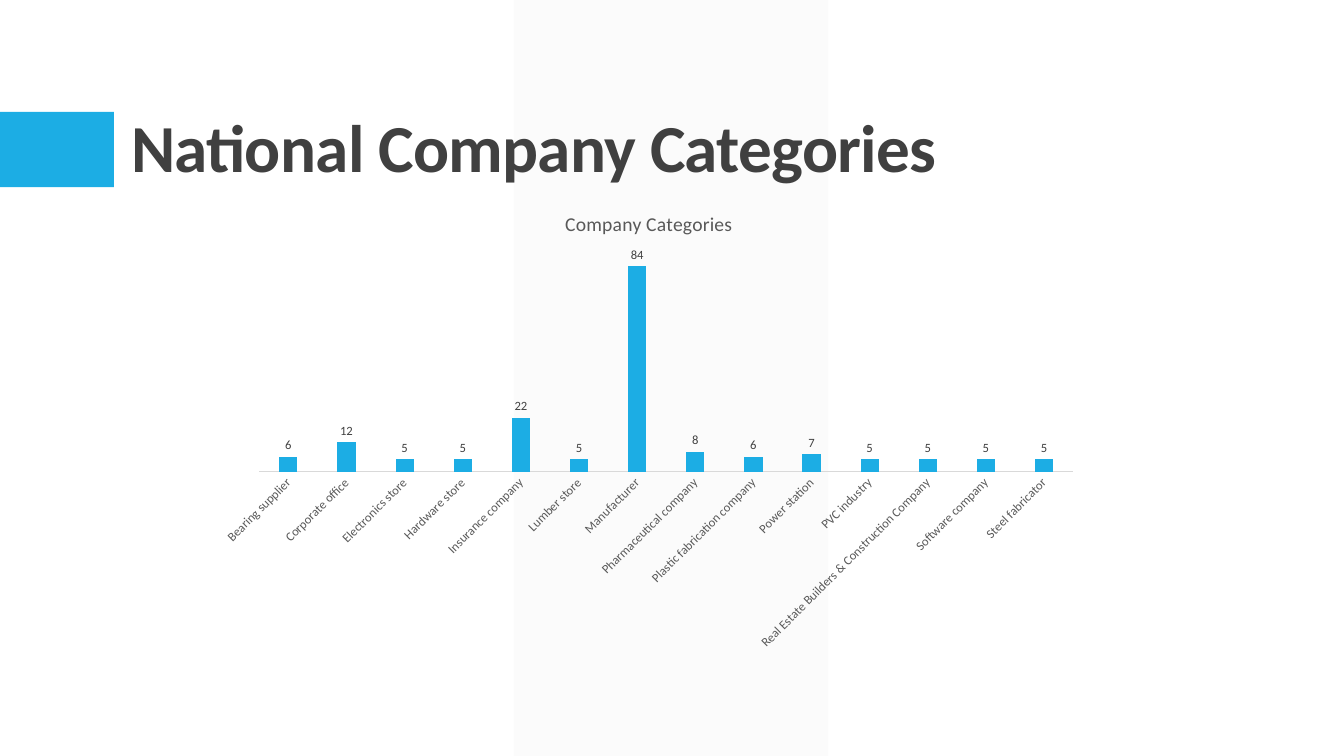
from dataclasses import dataclass

import pptx
import pptx.chart.data
import pptx.dml.color
import pptx.enum.chart
import pptx.enum.shapes
import pptx.enum.text
import pptx.oxml
import pptx.util
from lxml import etree
from pptx.util import Cm, Pt

FONT = "Calibri"
BLUE = "1CADE4"
DARK_GREY = "404040"
GREY = "595959"
LIGHT_GREY = "D9D9D9"

COMPANY_COUNTS = {
    "Bearing supplier": 6,
    "Corporate office": 12,
    "Electronics store": 5,
    "Hardware store": 5,
    "Insurance company": 22,
    "Lumber store": 5,
    "Manufacturer": 84,
    "Pharmaceutical company": 8,
    "Plastic fabrication company": 6,
    "Power station": 7,
    "PVC industry": 5,
    "Real Estate Builders & Construction Company": 5,
    "Software company": 5,
    "Steel fabricator": 5,
}


@dataclass
class Panel:
    kind: pptx.enum.shapes.MSO_SHAPE
    left: float
    top: float
    width: float
    height: float
    color: str
    opacity: int = 100


PANELS = [
    Panel(pptx.enum.shapes.MSO_SHAPE.PARALLELOGRAM, 12.95, 0, 7.92, 19.05, "F2F2F2", 30),
    Panel(pptx.enum.shapes.MSO_SHAPE.RECTANGLE, 0, 2.82, 2.87, 1.9, BLUE),
]


def rgb(color: str) -> pptx.dml.color.RGBColor:
    return pptx.dml.color.RGBColor.from_string(color)


def style_font(font, size: float, color: str, bold: bool = False) -> None:
    font.name = FONT
    font.size = Pt(size)
    font.bold = bold
    font.color.rgb = rgb(color)


def add_panel(slide, panel: Panel) -> None:
    """Draw a background panel behind the title."""
    shape = slide.shapes.add_shape(
        panel.kind, Cm(panel.left), Cm(panel.top), Cm(panel.width), Cm(panel.height)
    )
    shape.shadow.inherit = False
    if len(shape.adjustments):
        shape.adjustments[0] = 0
    shape.fill.solid()
    shape.fill.fore_color.rgb = rgb(panel.color)
    shape.line.fill.background()
    if panel.opacity < 100:
        color = shape.element.spPr.find(".//" + pptx.oxml.ns.qn("a:srgbClr"))
        alpha = etree.SubElement(color, pptx.oxml.ns.qn("a:alpha"))
        alpha.set("val", str(panel.opacity * 1000))
    slide.shapes.title.element.addprevious(shape.element)


def format_title(title, text: str) -> None:
    title.left, title.top = Cm(3.05), Cm(0.79)
    title.width, title.height = Cm(27.94), Cm(4.04)
    frame = title.text_frame
    frame.text = text
    frame.word_wrap = True
    frame.auto_size = pptx.enum.text.MSO_AUTO_SIZE.NONE
    frame.vertical_anchor = pptx.enum.text.MSO_ANCHOR.BOTTOM
    paragraph = frame.paragraphs[0]
    paragraph.alignment = pptx.enum.text.PP_ALIGN.LEFT
    paragraph.line_spacing = 0.9
    style_font(paragraph.font, 48, DARK_GREY, bold=True)
    paragraph.runs[0].font._element.set("spc", "-50")


def add_category_chart(slide) -> None:
    data = pptx.chart.data.CategoryChartData()
    data.categories = list(COMPANY_COUNTS)
    data.add_series("Series 1", list(COMPANY_COUNTS.values()))
    chart = slide.shapes.add_chart(
        pptx.enum.chart.XL_CHART_TYPE.COLUMN_CLUSTERED,
        Cm(5.21), Cm(4.83), Cm(22.28), Cm(11.79), data,
    ).chart
    style_font(chart.font, 10, "000000")
    chart.has_legend = False

    # Chart title
    chart.has_title = True
    chart.chart_title.include_in_layout = False
    chart.chart_title.text_frame.text = "Company Categories"
    style_font(chart.chart_title.text_frame.paragraphs[0].font, 14, GREY)

    # Axes
    chart.value_axis.visible = False
    chart.value_axis.has_major_gridlines = False
    axis = chart.category_axis
    axis.major_tick_mark = pptx.enum.chart.XL_TICK_MARK.NONE
    axis.format.line.color.rgb = rgb(LIGHT_GREY)
    axis.format.line.width = Pt(0.75)
    style_font(axis.tick_labels.font, 9, GREY)

    # Columns and their values
    plot = chart.plots[0]
    plot.vary_by_categories = False
    plot.gap_width = 219
    plot.overlap = -27
    series = plot.series[0]
    series.format.fill.solid()
    series.format.fill.fore_color.rgb = rgb(BLUE)
    labels = series.data_labels
    labels.show_value = True
    labels.position = pptx.enum.chart.XL_LABEL_POSITION.OUTSIDE_END
    style_font(labels.font, 9, DARK_GREY)


def main() -> None:
    presentation = pptx.Presentation()
    presentation.slide_width = Cm(33.87)
    presentation.slide_height = Cm(19.05)
    slide = presentation.slides.add_slide(presentation.slide_layouts[5])

    for panel in PANELS:
        add_panel(slide, panel)
    format_title(slide.shapes.title, "National Company Categories")
    add_category_chart(slide)

    presentation.save("out.pptx")


if __name__ == "__main__":
    main()
